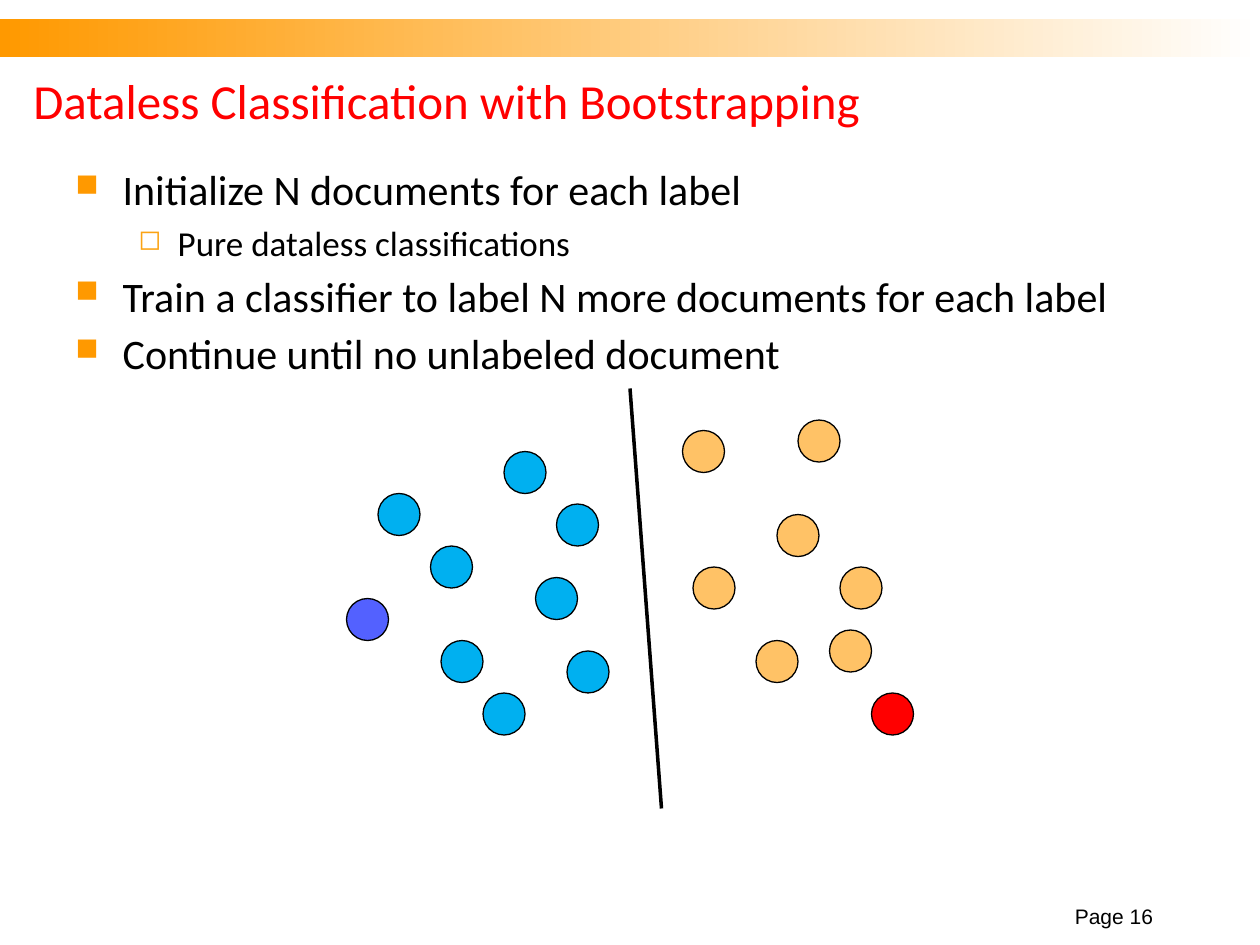
from lxml import etree
from pptx import Presentation
from pptx.dml.color import RGBColor
from pptx.enum.shapes import MSO_CONNECTOR, MSO_SHAPE
from pptx.enum.text import MSO_ANCHOR, PP_ALIGN
from pptx.oxml.ns import qn
from pptx.util import Pt

RECTANGLE, OVAL = MSO_SHAPE.RECTANGLE, MSO_SHAPE.OVAL
STRAIGHT = MSO_CONNECTOR.STRAIGHT
TOP, MIDDLE, BOTTOM = MSO_ANCHOR.TOP, MSO_ANCHOR.MIDDLE, MSO_ANCHOR.BOTTOM
LEFT, RIGHT = PP_ALIGN.LEFT, PP_ALIGN.RIGHT

COLORS = {
    "black": "000000", "white": "FFFFFF", "red": "FF0000", "orange": "FF9900",
    "amber": "FBA313", "peach": "FFC266", "sky": "00B0F0", "indigo": "5361FF",
}
GRID = 6
DOT_SIZE = 24
BULLET_LEVELS = [
    {"size": 24, "margin": 27, "indent": -27, "symbol": "■", "color": "orange", "percent": 75},
    {"size": 20, "margin": 58.5, "indent": -22.5, "symbol": "◻", "color": "amber", "percent": 80},
]
BULLETS = [
    (0, "Initialize N documents for each label"),
    (1, "Pure dataless classifications"),
    (0, "Train a classifier to label N more documents for each label"),
    (0, "Continue until no unlabeled document"),
]
DOTS = {
    "red": [(83, 66)],
    "indigo": [(33, 57)],
    "peach": [(79, 60), (72, 61), (80, 54), (74, 49), (66, 54), (65, 41), (76, 40)],
    "sky": [(51, 55), (42, 61), (46, 66), (41, 52), (36, 47), (53, 48), (54, 62), (48, 43)],
}


class SlideBuilder:
    """Draw styled elements on one slide, with lengths in points."""

    def __init__(self, slide, font="Calibri"):
        self.slide = slide
        self.font = font

    def color(self, name):
        return RGBColor.from_string(COLORS[name])

    def style(self, paragraph, size, color="black", font=None):
        paragraph.font.name = font or self.font
        paragraph.font.size = Pt(size)
        paragraph.font.color.rgb = self.color(color)

    def frame(self, box, anchor=TOP):
        text_frame = self.slide.shapes.add_textbox(*map(Pt, box)).text_frame
        text_frame.word_wrap = True
        text_frame.vertical_anchor = anchor
        return text_frame

    def text(self, box, text, size, anchor, color="black", font=None, align=LEFT):
        paragraph = self.frame(box, anchor).paragraphs[0]
        paragraph.text = text
        paragraph.alignment = align
        self.style(paragraph, size, color, font)

    def bullets(self, box, items):
        text_frame = self.frame(box)
        for index, (depth, text) in enumerate(items):
            level = BULLET_LEVELS[depth]
            paragraph = text_frame.add_paragraph() if index else text_frame.paragraphs[0]
            paragraph.text = text
            paragraph.level = depth
            if index:
                paragraph.space_before = Pt(4)
            properties = paragraph._p.get_or_add_pPr()
            properties.set("marL", str(Pt(level["margin"])))
            properties.set("indent", str(Pt(level["indent"])))
            bullet_color = etree.SubElement(properties, qn("a:buClr"))
            etree.SubElement(bullet_color, qn("a:srgbClr"), val=COLORS[level["color"]])
            etree.SubElement(properties, qn("a:buSzPct"), val=str(level["percent"] * 1000))
            etree.SubElement(properties, qn("a:buChar"), char=level["symbol"])
            self.style(paragraph, level["size"])

    def gradient_bar(self, box, start, end):
        bar = self.slide.shapes.add_shape(RECTANGLE, *map(Pt, box))
        bar.shadow.inherit = False
        bar.fill.gradient()
        bar.fill.gradient_angle = 0
        for stop, name, position in zip(bar.fill.gradient_stops, (start, end), (0, 1)):
            stop.color.rgb = self.color(name)
            stop.position = position
        bar.line.fill.background()

    def dot(self, left, top, color):
        dot = self.slide.shapes.add_shape(OVAL, Pt(left), Pt(top), Pt(DOT_SIZE), Pt(DOT_SIZE))
        dot.shadow.inherit = False
        dot.fill.solid()
        dot.fill.fore_color.rgb = self.color(color)
        dot.line.color.rgb = self.color("black")
        dot.line.width = Pt(0.75)

    def line(self, start, end, width):
        connector = self.slide.shapes.add_connector(STRAIGHT, *map(Pt, start + end))
        connector.line.color.rgb = self.color("black")
        connector.line.width = Pt(width)
        etree.SubElement(connector._element.spPr, qn("a:effectLst"))


def main():
    presentation = Presentation()
    presentation.slide_width, presentation.slide_height = Pt(720), Pt(540)
    builder = SlideBuilder(presentation.slides.add_slide(presentation.slide_layouts[6]))
    builder.gradient_bar((0, 10.8, 720, 21.6), "orange", "white")
    builder.text((12, 36, 648, 42), "Dataless Classification with Bootstrapping", 28, MIDDLE, "red")
    builder.bullets((36, 90, 648, 390), BULLETS)
    builder.text((594, 516, 72, 18), "Page 16", 12, BOTTOM, font="Arial", align=RIGHT)
    builder.line((360, 222), (378, 462), 2)
    for color, positions in DOTS.items():
        for column, row in positions:
            builder.dot(column * GRID, row * GRID, color)
    presentation.save("out.pptx")


if __name__ == "__main__":
    main()
